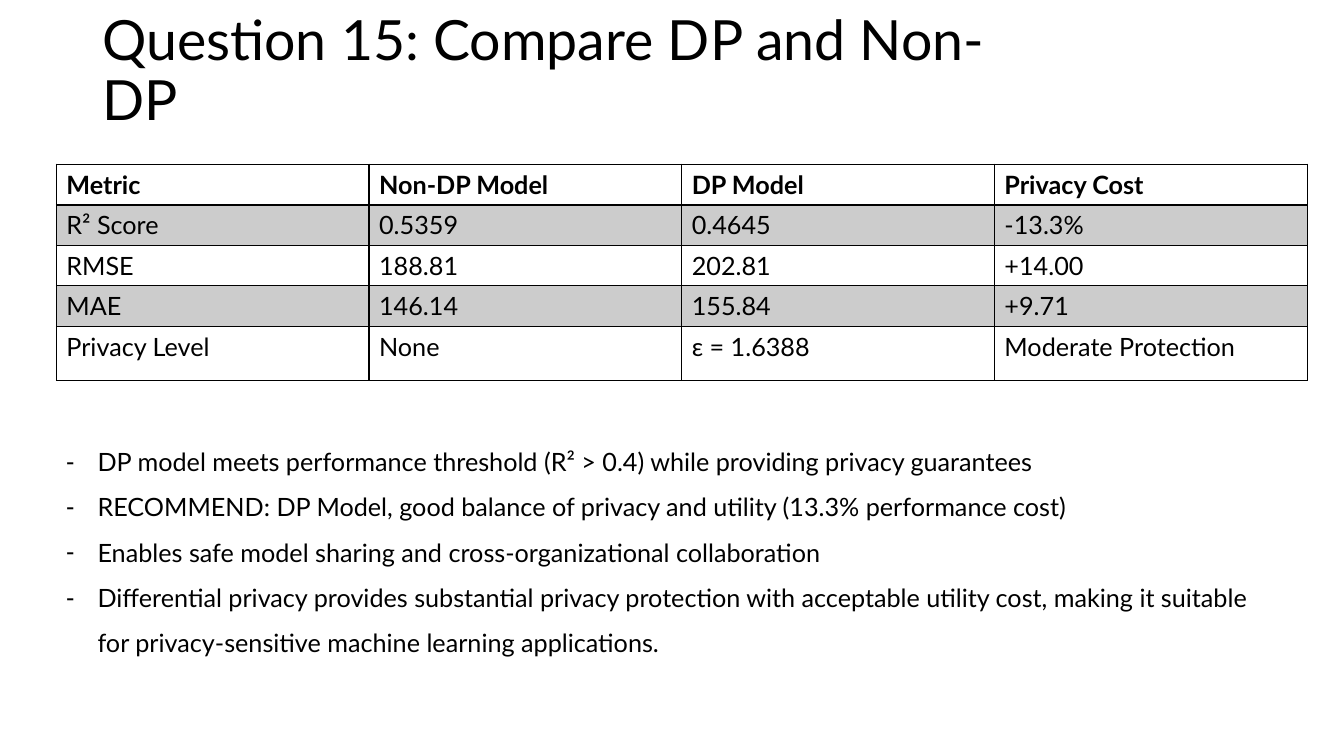
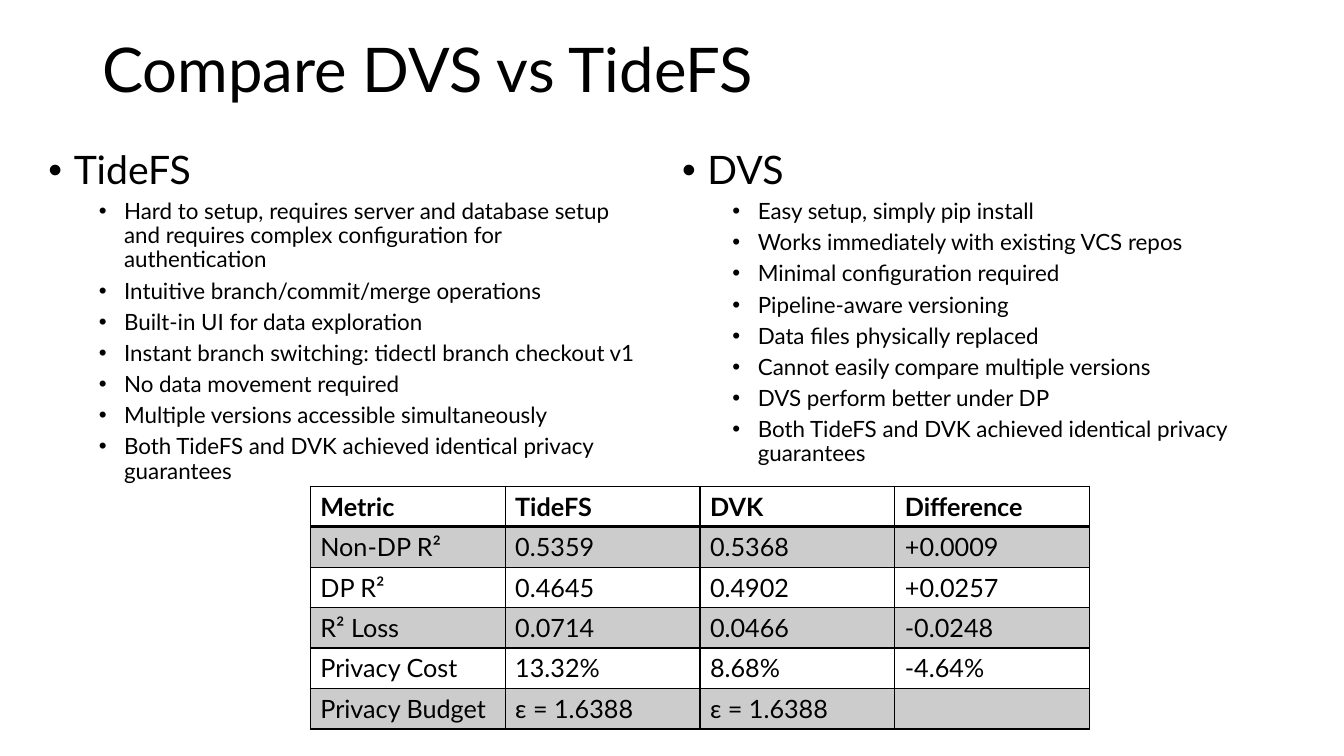
from lxml import etree
from pptx import Presentation
from pptx.dml.color import RGBColor
from pptx.enum.text import MSO_ANCHOR
from pptx.oxml.ns import qn
from pptx.util import Cm, Pt

MIDDLE = MSO_ANCHOR.MIDDLE
FONT = "Lato"
COLORS = {"ink": "000000", "band": "CCCCCC"}

PRIVACY_TITLE = "Question 15: Compare DP and Non-DP"
PRIVACY_ROWS = [
    ("Metric", "Non-DP Model", "DP Model", "Privacy Cost"),
    ("R² Score", "0.5359", "0.4645", "-13.3%"),
    ("RMSE", "188.81", "202.81", "+14.00"),
    ("MAE", "146.14", "155.84", "+9.71"),
    ("Privacy Level", "None", "ε = 1.6388", "Moderate Protection"),
]
FINDINGS = [
    "DP model meets performance threshold (R² > 0.4) while providing privacy guarantees",
    "RECOMMEND: DP Model, good balance of privacy and utility (13.3% performance cost)",
    "Enables safe model sharing and cross-organizational collaboration",
    "Differential privacy provides substantial privacy protection with acceptable utility cost, "
    "making it suitable for privacy-sensitive machine learning applications.",
]

TOOLS_TITLE = "Compare DVS vs TideFS"
SHARED_POINT = "Both TideFS and DVK achieved identical privacy guarantees"
TOOLS = [
    ("TideFS", 0.97, 15.47, [
        "Hard to setup, requires server and database setup and requires complex "
        "configuration for authentication",
        "Intuitive branch/commit/merge operations",
        "Built-in UI for data exploration",
        "Instant branch switching: tidectl branch checkout v1",
        "No data movement required",
        "Multiple versions accessible simultaneously",
        SHARED_POINT,
    ]),
    ("DVS", 16.94, 15.98, [
        "Easy setup, simply pip install",
        "Works immediately with existing VCS repos",
        "Minimal configuration required",
        "Pipeline-aware versioning",
        "Data files physically replaced",
        "Cannot easily compare multiple versions",
        "DVS perform better under DP",
        SHARED_POINT,
    ]),
]
TOOL_ROWS = [
    ("Metric", "TideFS", "DVK", "Difference"),
    ("Non-DP R²", "0.5359", "0.5368", "+0.0009"),
    ("DP R²", "0.4645", "0.4902", "+0.0257"),
    ("R² Loss", "0.0714", "0.0466", "-0.0248"),
    ("Privacy Cost", "13.32%", "8.68%", "-4.64%"),
    ("Privacy Budget", "ε = 1.6388", "ε = 1.6388", ""),
]

FINDING_STYLE = {"size": 18, "bullet": "-", "indent": 0.79, "hang": 0.79, "line": 1.5, "before": 0}
HEADING_STYLE = {"size": 28, "bullet": "•", "indent": 0.64, "hang": 0.64, "line": 0.9, "before": 10}
POINT_STYLE = {"size": 16, "bullet": "•", "indent": 1.91, "hang": 0.64, "line": 0.9, "before": 5}


def add_run(para, text, size, bold=False):
    span = para.add_run()
    span.text = text
    span.font.name = FONT
    span.font.size = Pt(size)
    span.font.bold = bold
    span.font.color.rgb = RGBColor.from_string(COLORS["ink"])


def add_frame(page, left, top, width, height):
    box = page.shapes.add_textbox(Cm(left), Cm(top), Cm(width), Cm(height))
    box.text_frame.word_wrap = True
    return box.text_frame


def add_title(page, text, size, width):
    frame = add_frame(page, 2.33, 0, width, 3.64)
    frame.vertical_anchor = MIDDLE
    para = frame.paragraphs[0]
    para.line_spacing = 0.9
    add_run(para, text, size)


def add_list(page, area, items):
    frame = add_frame(page, *area)
    for index, (text, style) in enumerate(items):
        para = frame.add_paragraph() if index else frame.paragraphs[0]
        para.line_spacing = style["line"]
        para.space_before = Pt(style["before"])
        add_run(para, text, style["size"])
        props = para._p.get_or_add_pPr()
        props.set("marL", str(Cm(style["indent"])))
        props.set("indent", str(-Cm(style["hang"])))
        etree.SubElement(props, qn("a:buFont")).set("typeface", "Arial")
        etree.SubElement(props, qn("a:buChar")).set("char", style["bullet"])


def set_borders(cell, row_index):
    widths = {"L": 1, "R": 1, "T": 2 if row_index == 1 else 1, "B": 2 if row_index == 0 else 1}
    props = cell._tc.get_or_add_tcPr()
    for side, width in widths.items():
        line = etree.SubElement(props, qn("a:ln" + side), w=str(Pt(width)))
        fill = etree.SubElement(line, qn("a:solidFill"))
        etree.SubElement(fill, qn("a:srgbClr")).set("val", COLORS["ink"])


def add_grid(page, left, top, column_width, heights, rows):
    columns = len(rows[0])
    table = page.shapes.add_table(
        len(rows), columns, Cm(left), Cm(top), Cm(column_width * columns), Cm(sum(heights))
    ).table
    table.horz_banding = False
    table.first_row = False
    for column in table.columns:
        column.width = Cm(column_width)
    for row_index, (values, height) in enumerate(zip(rows, heights)):
        table.rows[row_index].height = Cm(height)
        for column_index, value in enumerate(values):
            cell = table.cell(row_index, column_index)
            set_borders(cell, row_index)
            if row_index % 2:
                cell.fill.solid()
                cell.fill.fore_color.rgb = RGBColor.from_string(COLORS["band"])
            else:
                cell.fill.background()
            if value:
                add_run(cell.text_frame.paragraphs[0], value, 18, row_index == 0)


def build_privacy_page(page):
    add_title(page, PRIVACY_TITLE, 39.6, 24.41)
    add_grid(page, 1.42, 4.14, 7.88, [1.02] * 4 + [1.37], PRIVACY_ROWS)
    add_list(page, (1.42, 10.74, 30.76, 7.06), [(text, FINDING_STYLE) for text in FINDINGS])


def build_tools_page(page):
    add_title(page, TOOLS_TITLE, 44, 29.21)
    for heading, left, width, points in TOOLS:
        items = [(heading, HEADING_STYLE)] + [(text, POINT_STYLE) for text in points]
        add_list(page, (left, 3.68, width, 8.23), items)
    add_grid(page, 7.82, 12.25, 4.91, [1.02] * len(TOOL_ROWS), TOOL_ROWS)


def main():
    deck = Presentation()
    deck.slide_width = Cm(33.87)
    deck.slide_height = Cm(19.05)
    for build in (build_privacy_page, build_tools_page):
        build(deck.slides.add_slide(deck.slide_layouts[6]))
    deck.save("out.pptx")


if __name__ == "__main__":
    main()
